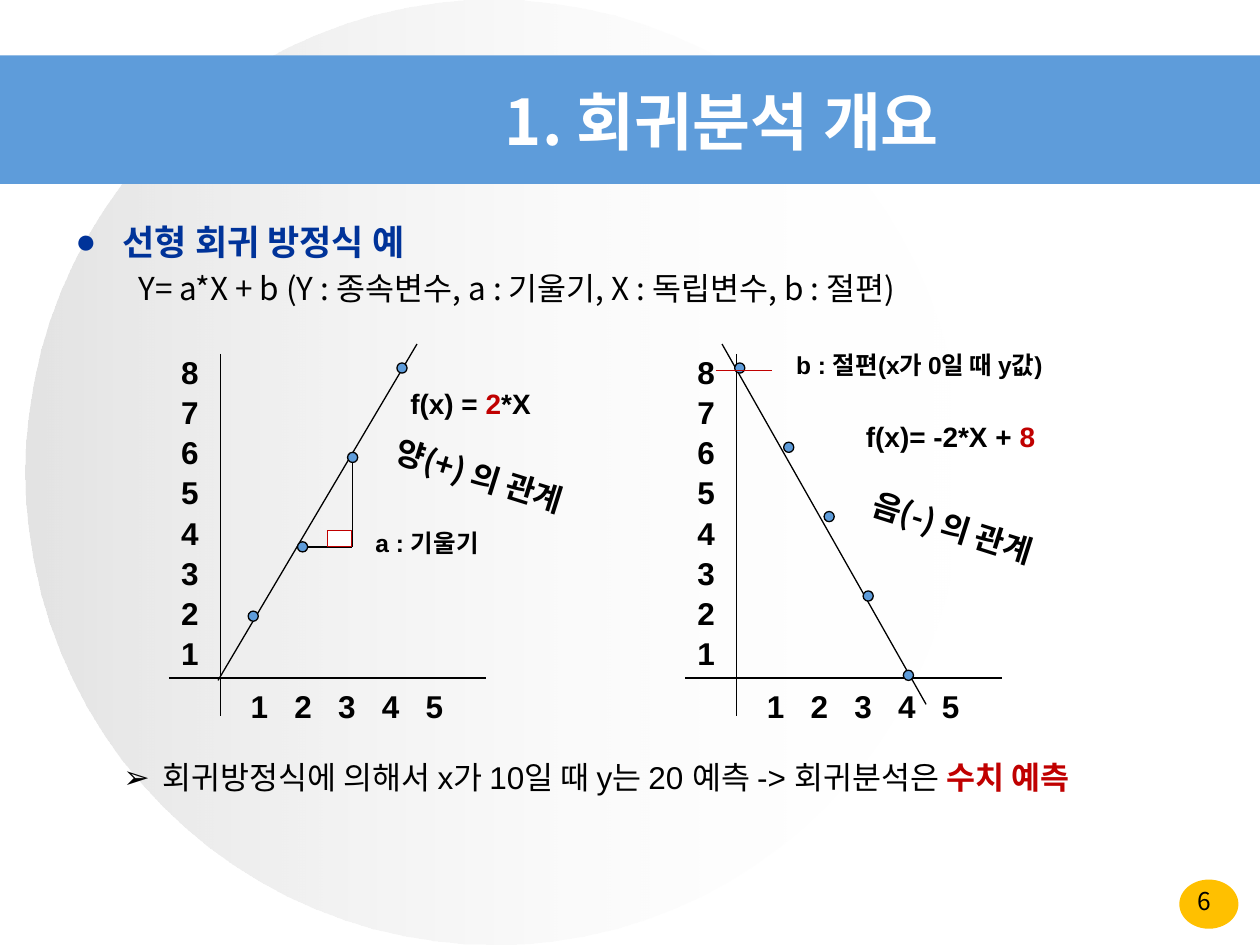
from lxml.etree import SubElement
from pptx import Presentation
from pptx.dml.color import RGBColor
from pptx.enum.shapes import MSO_CONNECTOR as Connector, MSO_SHAPE as Preset
from pptx.enum.text import MSO_ANCHOR as Anchor, PP_ALIGN as Align
from pptx.oxml.ns import qn
from pptx.util import Pt

KOREAN = "Noto Sans CJK KR"
LATIN = "Arial"
BLACK, WHITE, RED = "000000", "FFFFFF", "C00000"
BLUE, NAVY, YELLOW = "5E9CDA", "003399", "FFC000"


def color(value):
    return RGBColor.from_string(value)


def points(*values):
    return [Pt(value) for value in values]


def add_shape(page, preset, place, fill, line=None):
    shape = page.shapes.add_shape(preset, *points(*place))
    shape.shadow.inherit = False
    shape.fill.solid()
    shape.fill.fore_color.rgb = color(fill)
    if line:
        shape.line.color.rgb = color(line)
        shape.line.width = Pt(0.75)
    else:
        shape.line.fill.background()
    return shape


def add_line(page, start, end, line=BLACK):
    connector = page.shapes.add_connector(Connector.STRAIGHT, *points(*start, *end))
    connector.line.color.rgb = color(line)
    connector.line.width = Pt(0.75)
    SubElement(connector._element.spPr, qn("a:effectLst"))


def fade(shape):
    shape.fill.gradient()
    shape.fill.gradient_angle = 0
    stops = shape.fill.gradient_stops
    for stop, position, value, opacity in zip(stops, (0, 1), ("C0C0C0", WHITE), (44, 0)):
        stop.position = position
        stop.color.rgb = color(value)
        choice = stop._gs.find(qn("a:srgbClr"))
        SubElement(choice, qn("a:alpha"), val=str(opacity * 1000))


def format_para(para, size, font=LATIN, ink=BLACK, bold=True, align=Align.LEFT):
    para.alignment = align
    para.font.size = Pt(size)
    para.font.name = font
    para.font.bold = bold
    para.font.color.rgb = color(ink)
    SubElement(para._p.pPr.find(qn("a:defRPr")), qn("a:ea"), typeface=KOREAN)


def add_spans(para, *spans):
    for text, ink in spans:
        span = para.add_run()
        span.text = text
        if ink:
            span.font.color.rgb = color(ink)


def add_text(page, place, lines, size, wrap=True, spacing=None, **style):
    box = page.shapes.add_textbox(*points(*place))
    frame = box.text_frame
    frame.word_wrap = wrap
    for index, spans in enumerate(lines):
        para = frame.paragraphs[0] if index == 0 else frame.add_paragraph()
        format_para(para, size, **style)
        add_spans(para, *spans)
        if spacing:
            para.line_spacing = Pt(spacing)
    return box


def add_bullet(para, mark, indent, ink=BLACK):
    props = para._p.get_or_add_pPr()
    props.set("marL", str(Pt(indent)))
    props.set("indent", str(Pt(-indent)))
    defaults = props.find(qn("a:defRPr"))
    bullet_color = SubElement(props, qn("a:buClr"))
    SubElement(bullet_color, qn("a:srgbClr"), val=ink)
    SubElement(props, qn("a:buFont"), typeface=LATIN)
    SubElement(props, qn("a:buChar"), char=mark)
    props.append(defaults)


def add_tabs(para, step, count):
    props = para._p.get_or_add_pPr()
    defaults = props.find(qn("a:defRPr"))
    tabs = SubElement(props, qn("a:tabLst"))
    for index in range(1, count + 1):
        SubElement(tabs, qn("a:tab"), pos=str(Pt(step * index)), algn="l")
    props.append(defaults)


def add_plot(page, left, trend, dots):
    add_line(page, (left + 29.5, 202.3), (left + 29.5, 409))
    add_line(page, (left, 387.4), (left + 181.2, 387.4))
    ticks = "\t".join(str(number) for number in range(1, 6))
    scale = add_text(page, (left + 39.6, 388.8, 141.8, 28.8), [[(ticks, None)]], 18)
    add_tabs(scale.text_frame.paragraphs[0], 25, 4)
    values = [[(str(number), None)] for number in range(8, 0, -1)]
    add_text(page, (left, 196.6, 33.8, 191.5), values, 18, spacing=23)
    add_line(page, *trend)
    for dot in dots:
        add_shape(page, Preset.OVAL, (*dot, 5.8, 5.8), BLUE, BLACK)


def add_slope_mark(page):
    add_line(page, (170, 312.5), (201, 312.5))
    add_line(page, (201.5, 258.5), (201.5, 312.5))
    add_shape(page, Preset.RECTANGLE, (187.2, 303.1, 13.7, 9.4), WHITE, RED)


def add_title(page, text):
    title = page.shapes.title
    title.left, title.top, title.width, title.height = points(105.1, 41.8, 614.9, 54)
    title.text_frame.vertical_anchor = Anchor.MIDDLE
    para = title.text_frame.paragraphs[0]
    format_para(para, 36, KOREAN, WHITE, align=Align.CENTER)
    add_spans(para, (text, None))


def add_intro(page):
    heading = [("선형 회귀 방정식 예", None)]
    formula = [("Y= a*X + b (Y : 종속변수, a : 기울기, X : 독립변수, b : 절편)", None)]
    box = add_text(page, (36, 122.4, 651, 355), [heading, formula], 20, font=KOREAN, ink=NAVY)
    first, second = box.text_frame.paragraphs
    first.space_before = Pt(4)
    add_bullet(first, "●", 27, NAVY)
    second.space_before = Pt(3.6)
    second.font.size = Pt(18)
    second.font.bold = False
    second.font.color.rgb = color(BLACK)
    second._p.pPr.set("marL", str(Pt(36)))


def add_conclusion(page):
    spans = [("회귀방정식에 의해서 x가 10일 때 y는 20 예측 -> 회귀분석은 ", None), ("수치 예측", RED)]
    box = add_text(page, (63.4, 429.8, 623.5, 28.8), [spans], 18, bold=False)
    para = box.text_frame.paragraphs[0]
    para.runs[-1].font.bold = True
    add_bullet(para, "➢", 22.5)


def main():
    deck = Presentation()
    deck.slide_width, deck.slide_height = points(720, 540)
    page = deck.slides.add_slide(deck.slide_layouts[5])
    tree = page.shapes._spTree
    title = page.shapes.title._element

    add_shape(page, Preset.OVAL, (673.9, 502.6, 33.8, 28.1), YELLOW)
    fade(add_shape(page, Preset.OVAL, (14.4, 0, 535.7, 540), WHITE))
    add_shape(page, Preset.RECTANGLE, (0, 31.7, 720, 73.4), BLUE)
    tree.append(title)
    add_title(page, "1. 회귀분석 개요")
    add_intro(page)
    add_text(page, (656.6, 502.6, 63.4, 20.9), [[("6", None)]], 14,
             font=KOREAN, bold=False, align=Align.CENTER)

    add_slope_mark(page)
    rising = [(141.8, 349.2), (170, 309.6), (198.6, 258.5), (226.8, 207.4)]
    add_plot(page, 96.5, ((238.3, 196.6), (124.6, 388.8)), rising)
    falling = [(419.8, 207.4), (447.8, 252.7), (470.9, 292.3), (493.2, 337.7), (516.2, 383)]
    add_plot(page, 391.5, ((412.6, 196.6), (529.2, 402.5)), falling)
    add_line(page, (409, 211.7), (441.4, 211.7), RED)

    add_text(page, (226.8, 217.4, 88.6, 26.6),
             [[("f(x) = ", None), ("2", RED), ("*X ", None)]], 16, wrap=False, align=Align.CENTER)
    add_text(page, (486.7, 236.2, 117.4, 26.6),
             [[("f(x)= -2*X + ", None), ("8 ", RED)]], 16, wrap=False, align=Align.CENTER)
    for left, top, text, angle in ((217.4, 260, "양(+) 의 관계", 17.4),
                                   (489.6, 290.2, "음(-) 의 관계", 17.6)):
        box = add_text(page, (left, top, 130.3, 28.8), [[(text, None)]], 18, font=KOREAN)
        box.rotation = angle
    add_text(page, (207.4, 298.1, 87.8, 24.5), [[("a : 기울기", None)]], 14)
    add_text(page, (447.8, 196.6, 195.8, 24.5), [[("b : 절편(x가 0일 때 y값)", None)]], 14)
    add_conclusion(page)
    deck.save("out.pptx")


if __name__ == "__main__":
    main()
